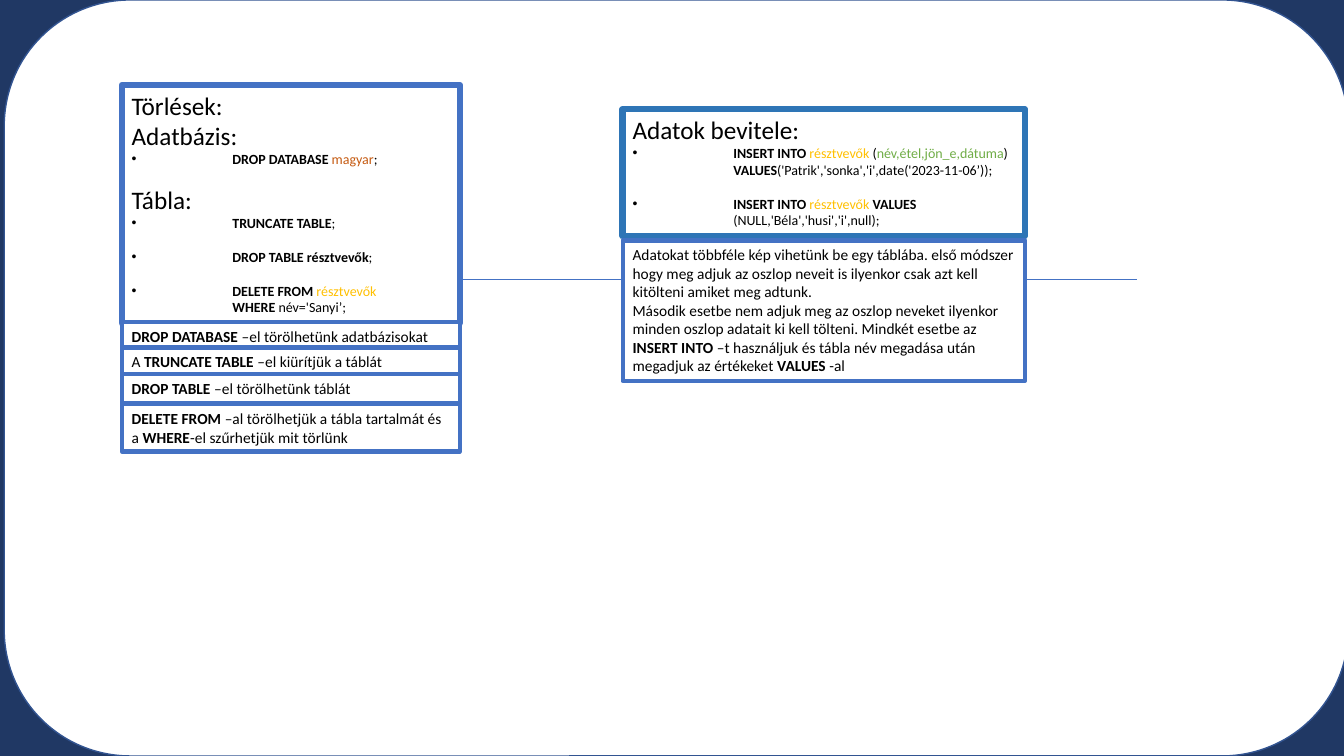
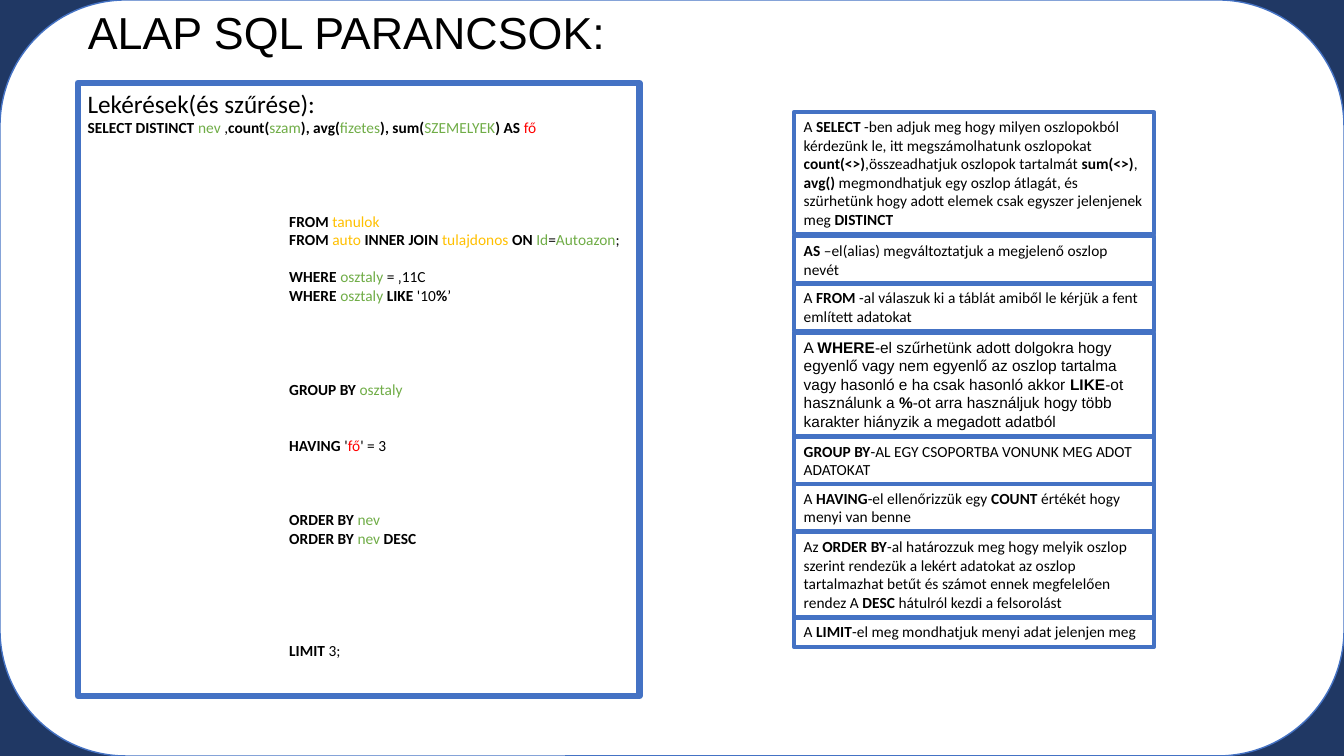
from collections import namedtuple

from lxml.etree import SubElement
from pptx import Presentation
from pptx.dml.color import RGBColor
from pptx.enum.shapes import MSO_CONNECTOR, MSO_SHAPE
from pptx.enum.text import MSO_ANCHOR, MSO_AUTO_SIZE, PP_ALIGN
from pptx.oxml.ns import qn
from pptx.util import Pt

PX = 9525
WIDTH, HEIGHT = 1280, 720
TAB = 96
LINE_HEIGHT = 1.22
TITLE_ONLY, BLANK = 5, 6

NAVY = RGBColor(0x20, 0x38, 0x64)
WHITE = RGBColor(0xFF, 0xFF, 0xFF)
BLACK = RGBColor(0, 0, 0)
BLUE = RGBColor(0x44, 0x72, 0xC4)
DARK_BLUE = RGBColor(0x32, 0x54, 0x91)
TEAL_BLUE = RGBColor(0x2E, 0x75, 0xB6)
ORANGE = RGBColor(0xC5, 0x5A, 0x11)
YELLOW = RGBColor(0xFF, 0xC0, 0x00)
GREEN = RGBColor(0x70, 0xAD, 0x47)
RED = RGBColor(0xFF, 0, 0)

# A run is plain text, (text, BOLD) or (text, colour).
BOLD = "bold"
Para = namedtuple("Para", "runs size tabs bullet skip", defaults=(11, 0, False, 0))


def b(text):
    return text, BOLD


def heading(text, skip=0):
    return Para([text], 18, skip=skip)


def code(*runs, bullet=False, skip=0):
    """Command line one tab in, optionally with a bullet at the margin."""
    return Para(runs, 10, 1, bullet, skip)


def clause(*runs, skip=0):
    return Para(runs, 11, 2, skip=skip)


def box_emu(box):
    return [v * PX for v in box]


def add_run(p, run, size, font):
    text, style = (run, None) if isinstance(run, str) else run
    r = p.add_run()
    r.text = text
    r.font.name = font
    r.font.size = Pt(size)
    r.font.bold = style == BOLD
    r.font.color.rgb = style if isinstance(style, RGBColor) else BLACK


def write(tf, paras, font="Calibri"):
    tf.word_wrap = True
    tf.auto_size = MSO_AUTO_SIZE.NONE
    tf.vertical_anchor = MSO_ANCHOR.TOP
    for i, para in enumerate(paras):
        p = tf.add_paragraph() if i else tf.paragraphs[0]
        p.alignment = PP_ALIGN.LEFT
        if para.skip:
            p.space_before = Pt(round(para.skip * para.size * LINE_HEIGHT, 2)
                                if para.tabs else 12)
        pPr = p._p.get_or_add_pPr()
        pPr.set("marL", str(para.tabs * TAB * PX))
        pPr.set("indent", str(-TAB * PX if para.bullet else 0))
        if para.bullet:
            SubElement(pPr, qn("a:buFont")).set("typeface", "Arial")
            SubElement(pPr, qn("a:buChar")).set("char", "•")
        for run in para.runs:
            add_run(p, run, para.size, font)


def add_outlined(s, kind, box, line, width):
    sp = s.shapes.add_shape(kind, *box_emu(box))
    sp.shadow.inherit = False
    sp.fill.solid()
    sp.fill.fore_color.rgb = WHITE
    sp.line.color.rgb = line
    sp.line.width = Pt(width)
    return sp


def add_frame(s, left, line):
    add_outlined(s, MSO_SHAPE.ROUNDED_RECTANGLE, (left, 0, WIDTH, HEIGHT), line, 1)


def add_panel(s, box, paras, line=BLUE, width=4.5, font="Calibri"):
    sp = add_outlined(s, MSO_SHAPE.RECTANGLE, box, line, width)
    write(sp.text_frame, paras, font)


def add_notes(s, left, width, notes):
    """Column of notes, each (top, line count, paragraphs of runs, font)."""
    for top, lines, paras, font in notes:
        height = round(10 + 17.7 * lines)
        add_panel(s, (left, top, width, height), [Para(runs) for runs in paras],
                  width=3, font=font)


def add_title(s, box, text):
    title = s.shapes.title
    title.left, title.top, title.width, title.height = box_emu(box)
    write(title.text_frame, [Para([text], 32)], "Arial")
    title.element.getparent().append(title.element)


def add_rule(s, left, right, y):
    line = s.shapes.add_connector(MSO_CONNECTOR.STRAIGHT, *box_emu((left, y, right, y)))
    line.line.color.rgb = BLUE
    line.line.width = Pt(0.5)
    SubElement(line._element.spPr, qn("a:effectLst"))


def delete_insert_slide(prs):
    s = prs.slides.add_slide(prs.slide_layouts[BLANK])
    add_frame(s, 4, DARK_BLUE)
    add_rule(s, 116, 1083, 266)
    add_panel(s, (116, 81, 322, 227), [
        heading("Törlések:"),
        heading("Adatbázis:"),
        code(b("DROP DATABASE "), ("magyar", ORANGE), ";", bullet=True),
        heading("Tábla:", skip=1),
        code(b("TRUNCATE TABLE"), ";", bullet=True),
        code(b("DROP TABLE résztvevők"), ";", bullet=True, skip=1),
        code(b("DELETE FROM "), ("résztvevők", YELLOW), bullet=True, skip=1),
        code(b("WHERE"), " név='Sanyi’;"),
    ])
    add_panel(s, (593, 104, 383, 121), [
        heading("Adatok bevitele:"),
        code(b("INSERT INTO "), ("résztvevők", YELLOW), " (",
             ("név,étel,jön_e,dátuma", GREEN), ")", bullet=True),
        code(b("VALUES"), "('Patrik','sonka','i',date('2023-11-06’));"),
        code(b("INSERT INTO "), ("résztvevők ", YELLOW), b("VALUES"),
             bullet=True, skip=1),
        code("(NULL,'Béla','husi','i',null);"),
    ], line=TEAL_BLUE)
    add_notes(s, 593, 383, [
        (229, 7, [
            ["Adatokat többféle kép vihetünk be egy táblába. első módszer hogy meg "
             "adjuk az oszlop neveit is ilyenkor csak azt kell kitölteni amiket meg "
             "adtunk."],
            ["Második esetbe nem adjuk meg az oszlop neveket ilyenkor minden oszlop "
             "adatait ki kell tölteni. Mindkét esetbe az ", b("INSERT INTO "),
             "–t használjuk és tábla név megadása után megadjuk az értékeket ",
             b("VALUES "), "-al"]], "Calibri"),
    ])
    add_notes(s, 116, 322, [
        (307, 1, [[b("DROP DATABASE "), "–el törölhetünk adatbázisokat"]], "Calibri"),
        (331, 1, [["A ", b("TRUNCATE TABLE "), "–el kiürítjük a táblát"]], "Calibri"),
        (356, 1, [[b("DROP TABLE "), "–el törölhetünk táblát"]], "Calibri"),
        (385, 2, [[b("DELETE FROM "), "–al törölhetjük a tábla tartalmát és a ",
                   b("WHERE"), "-el szűrhetjük mit törlünk"]], "Calibri"),
    ])


def query_slide(prs):
    s = prs.slides.add_slide(prs.slide_layouts[TITLE_ONLY])
    add_frame(s, 0, BLUE)
    add_title(s, (74, 0, 746, 90), "ALAP SQL PARANCSOK:")
    add_panel(s, (74, 79, 535, 584), [
        heading("Lekérések(és szűrése):"),
        Para([b("SELECT DISTINCT "), ("nev", GREEN), " ,", b("count("),
              ("szam", GREEN), b("), avg("), ("fizetes", GREEN), b("), sum("),
              ("SZEMELYEK", GREEN), b(") AS "), ("fő", RED)]),
        clause(b("FROM "), ("tanulok", YELLOW), skip=4),
        clause(b("FROM "), ("auto ", YELLOW), b("INNER JOIN "),
               ("tulajdonos ", YELLOW), b("ON "), ("Id", GREEN), "=",
               ("Autoazon", GREEN), ";"),
        clause(b("WHERE "), ("osztaly", GREEN), " = ‚11C", skip=1),
        clause(b("WHERE "), ("osztaly ", GREEN), b("LIKE"), " '10", b("%"), "’"),
        clause(b("GROUP BY "), ("osztaly", GREEN), skip=4),
        clause(b("HAVING"), " '", ("fő", RED), "' = 3", skip=2),
        clause(b("ORDER BY "), ("nev", GREEN), skip=3),
        clause(b("ORDER BY "), ("nev ", GREEN), b("DESC")),
        clause(b("LIMIT"), " 3;", skip=5),
    ])
    add_notes(s, 756, 343, [
        (107, 6, [["A ", b("SELECT"), " -ben adjuk meg hogy milyen oszlopokból "
                   "kérdezünk le, itt megszámolhatunk oszlopokat ", b("count(<>)"),
                   ",összeadhatjuk oszlopok tartalmát ", b("sum(<>)"), ", ",
                   b("avg() "), "megmondhatjuk egy oszlop átlagát, és szürhetünk "
                   "hogy adott elemek csak egyszer jelenjenek meg ",
                   b("DISTINCT")]], "Calibri"),
        (225, 2, [[b("AS"), " –el(alias) megváltoztatjuk a megjelenő oszlop nevét"]],
         "Calibri"),
        (270, 2, [["A ", b("FROM"), " -al válaszuk ki a táblát amiből le kérjük a "
                   "fent említett adatokat"]], "Calibri"),
        (317, 5, [["A ", b("WHERE"), "-el szűrhetünk adott dolgokra hogy egyenlő "
                   "vagy nem egyenlő az oszlop tartalma vagy hasonló e ha csak "
                   "hasonló akkor ", b("LIKE"), "-ot használunk a ", b("%"),
                   "-ot arra használjuk hogy több karakter hiányzik a megadott "
                   "adatból"]], "Arial"),
        (416, 2, [[b("GROUP BY"), "-AL EGY CSOPORTBA VONUNK MEG ADOT ADATOKAT"]],
         "Calibri"),
        (461, 2, [["A ", b("HAVING"), "-el ellenőrizzük egy ", b("COUNT"),
                   " értékét hogy menyi van benne"]], "Calibri"),
        (507, 4, [["Az ", b("ORDER BY"), "-al határozzuk meg hogy melyik oszlop "
                   "szerint rendezük a lekért adatokat az oszlop tartalmazhat betűt "
                   "és számot ennek megfelelően rendez A ", b("DESC"),
                   " hátulról kezdi a felsorolást"]], "Calibri"),
        (588, 1, [["A ", b("LIMIT"), "-el meg mondhatjuk menyi adat jelenjen meg"]],
         "Calibri"),
    ])


def main():
    prs = Presentation()
    prs.slide_width, prs.slide_height = WIDTH * PX, HEIGHT * PX
    fill = prs.slide_master.background.fill
    fill.solid()
    fill.fore_color.rgb = NAVY
    delete_insert_slide(prs)
    query_slide(prs)
    prs.save("out.pptx")


if __name__ == "__main__":
    main()
